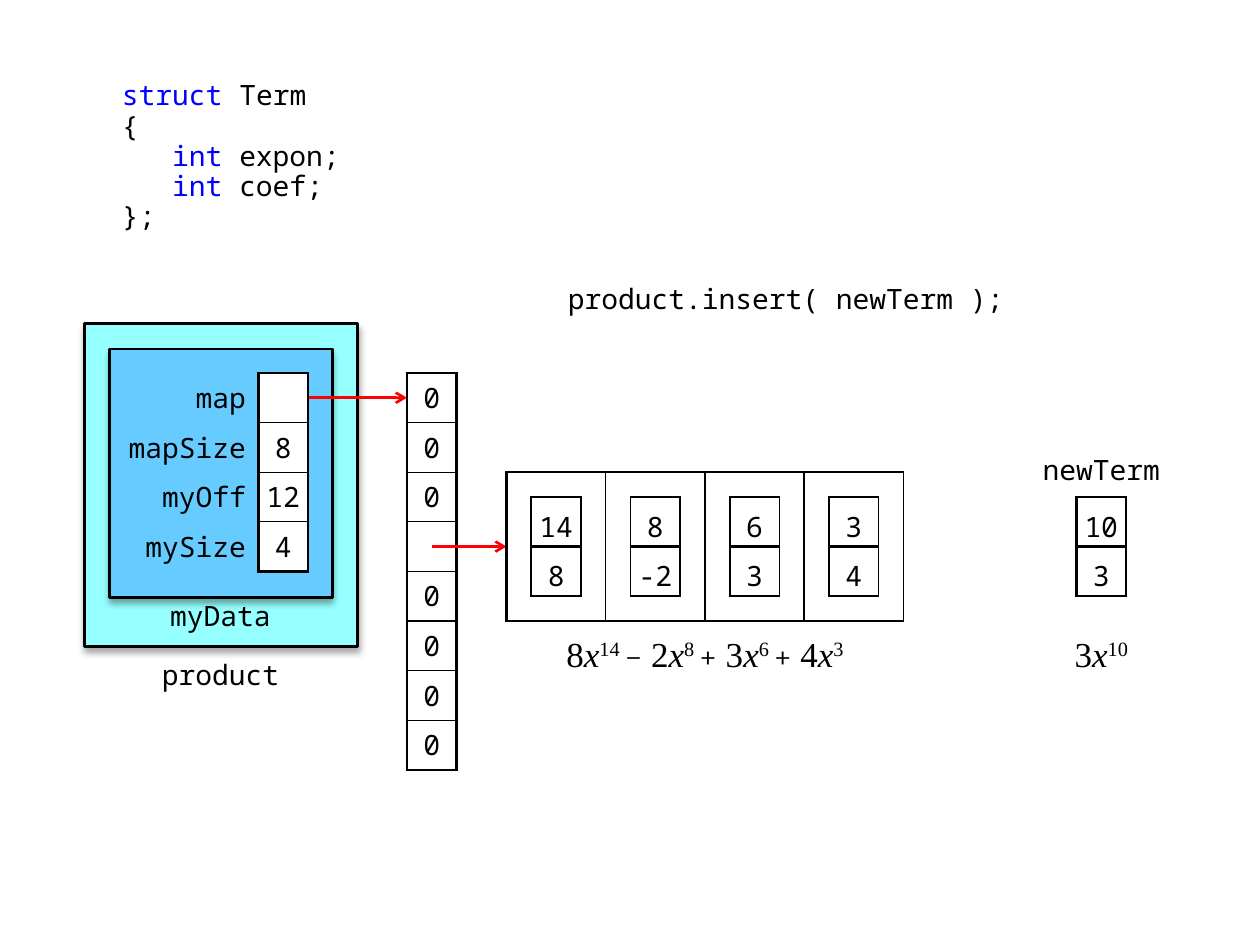
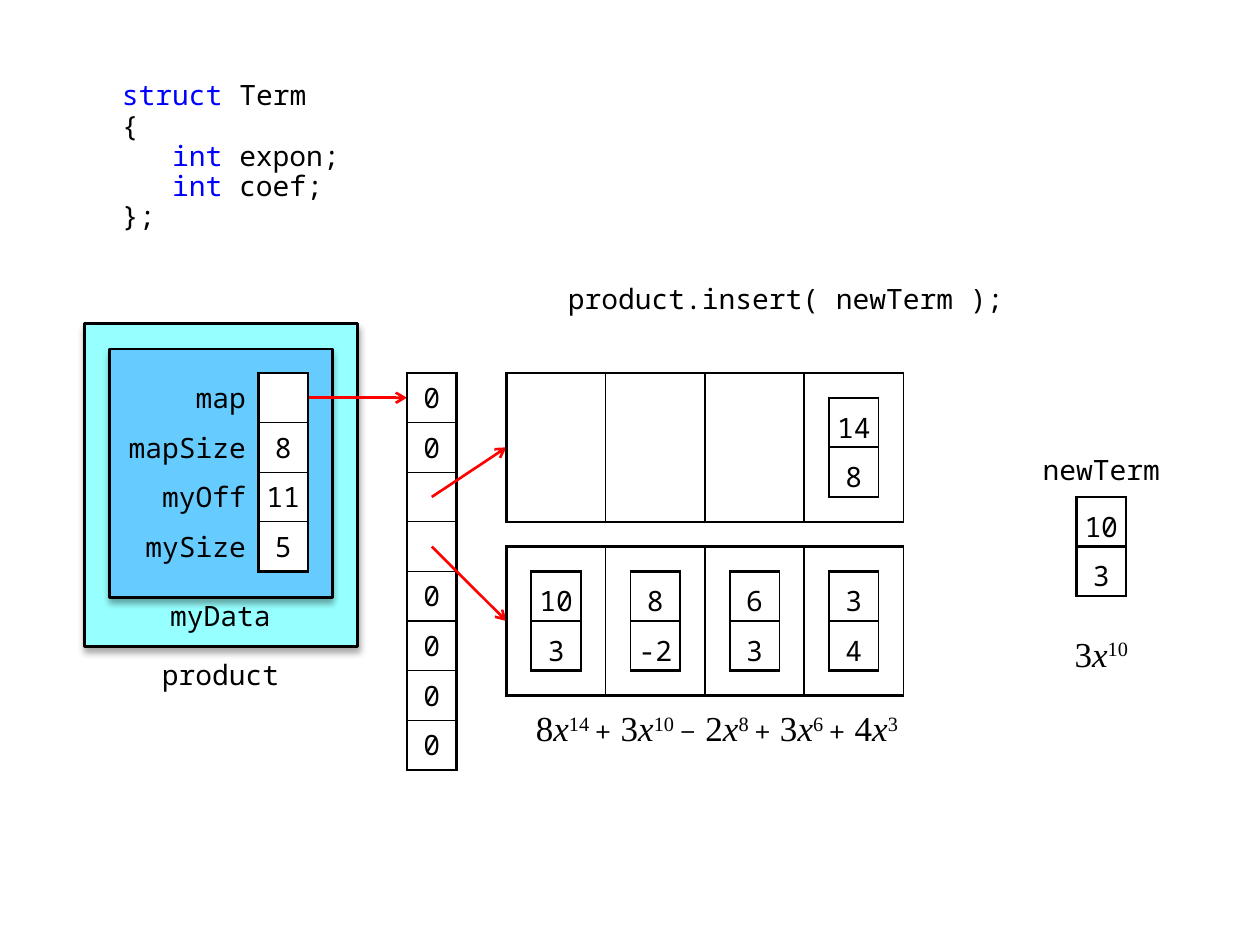
from lxml import etree
from pptx import Presentation
from pptx.dml.color import RGBColor
from pptx.enum.shapes import MSO_CONNECTOR as Connector, MSO_SHAPE as Shape
from pptx.enum.text import MSO_ANCHOR as Anchor, PP_ALIGN as Align
from pptx.oxml.ns import qn
from pptx.util import Inches, Pt

COLORS = {"text": "000000", "keyword": "0000FF", "arrow": "FF0000",
          "product": "96FFFF", "data": "66CCFF", "cell": "FFFFFF"}
CODE_FONT, MATH_FONT, OPERATOR_FONT = "Noto Sans Mono", "Times New Roman", "Cambria"
CELL = 3.15 / 8
GRID_TOP = 2.96
MAP_LEFT, NODE_LEFT = 3.23, 4.02
MAP_SLOTS = 8
CODE = [("", "struct ", "Term"), ("", "", "{"), ("   ", "int ", "expon;"),
        ("   ", "int ", "coef;"), ("", "", "};")]


def color(name):
    """Return the named colour."""
    return RGBColor.from_string(COLORS[name])


def set_font(font, name=CODE_FONT, size=16, color_name="text"):
    """Apply typeface, size and colour to a font."""
    font.name, font.size = name, Pt(size)
    font.color.rgb = color(color_name)


def add_text_box(slide, box, margins, anchor=Anchor.MIDDLE, align=Align.CENTER):
    """Add an empty text box and return its text frame."""
    frame = slide.shapes.add_textbox(*map(Inches, box)).text_frame
    frame.word_wrap = True
    frame.vertical_anchor = anchor
    (frame.margin_left, frame.margin_top,
     frame.margin_right, frame.margin_bottom) = map(Inches, margins)
    frame.paragraphs[0].alignment = align
    return frame


def add_label(slide, text, box, margins, **options):
    """Add one line of code-style text."""
    paragraph = add_text_box(slide, box, margins, **options).paragraphs[0]
    paragraph.text = text
    set_font(paragraph.font)


def add_panel(slide, box, fill):
    """Add a filled box with a soft shadow below it."""
    shape = slide.shapes.add_shape(Shape.FLOWCHART_PROCESS, *map(Inches, box))
    shape.fill.solid()
    shape.fill.fore_color.rgb = color(fill)
    shape.line.color.rgb = color("text")
    shape.line.width = Pt(1.5)
    shape.shadow.inherit = False
    effects = shape._element.spPr.find(qn("a:effectLst"))
    shadow = etree.SubElement(effects, qn("a:outerShdw"), blurRad=str(Pt(4)),
                              dist=str(Pt(3)), dir="5400000", rotWithShape="0")
    shade = etree.SubElement(shadow, qn("a:srgbClr"), val=COLORS["text"])
    etree.SubElement(shade, qn("a:alpha"), val="35000")


def add_arrow(slide, start, end):
    """Add a red pointer arrow."""
    arrow = slide.shapes.add_connector(Connector.STRAIGHT, *map(Inches, start + end))
    arrow.line.color.rgb = color("arrow")
    arrow.line.width = Pt(1.5)
    etree.SubElement(arrow.line._get_or_add_ln(), qn("a:tailEnd"), type="arrow")
    etree.SubElement(arrow._element.spPr, qn("a:effectLst"))


def set_borders(cell, widths):
    """Draw left, top, right and bottom borders; zero width hides one."""
    properties = cell._tc.get_or_add_tcPr()
    sides = dict(zip("LTRB", widths))
    for index, side in enumerate("LRTB"):
        line = etree.Element(qn(f"a:ln{side}"), w=str(Pt(sides[side])))
        if sides[side]:
            fill = etree.SubElement(line, qn("a:solidFill"))
            etree.SubElement(fill, qn("a:srgbClr"), val=COLORS["text"])
        else:
            etree.SubElement(line, qn("a:noFill"))
        properties.insert(index, line)


def add_grid(slide, left, top, rows, column_widths, row_height):
    """Add a plain table of centred code text and return it."""
    table = slide.shapes.add_table(
        len(rows), len(column_widths), Inches(left), Inches(top),
        Inches(sum(column_widths)), Inches(row_height * len(rows))).table
    table.first_row = table.horz_banding = False
    for column, width in zip(table.columns, column_widths):
        column.width = Inches(width)
    for row, texts in zip(table.rows, rows):
        row.height = Inches(row_height)
        for cell, text in zip(row.cells, texts):
            cell.text = text
            cell.fill.background()
            cell.vertical_anchor = Anchor.MIDDLE
            cell.margin_left = cell.margin_right = 0
            cell.margin_top = cell.margin_bottom = Inches(0.04)
            paragraph = cell.text_frame.paragraphs[0]
            paragraph.alignment = Align.CENTER
            set_font(paragraph.font)
    return table


def frame_cells(rows, outer, inner):
    """Border a block of cells with outer widths and one inner width."""
    left, top, right, bottom = outer
    for row_index, row in enumerate(rows):
        for column_index, cell in enumerate(row):
            set_borders(cell, (
                inner if column_index else left,
                inner if row_index else top,
                inner if column_index < len(row) - 1 else right,
                inner if row_index < len(rows) - 1 else bottom))


def table_cells(table):
    """Return the cells of a table as a list of rows."""
    return [list(row.cells) for row in table.rows]


def add_struct(slide, box):
    """Add the struct definition with coloured keywords."""
    frame = add_text_box(slide, box, (0.1, 0.05, 0.1, 0.05), Anchor.TOP, Align.LEFT)
    for index, (indent, keyword, rest) in enumerate(CODE):
        paragraph = frame.add_paragraph() if index else frame.paragraphs[0]
        paragraph.line_spacing = 0.9
        for text, name in ((indent, "text"), (keyword, "keyword"), (rest, "text")):
            if text:
                run = paragraph.add_run()
                run.text = text
                set_font(run.font, color_name=name)


def add_product(slide, left, top, values):
    """Add the product object with its data fields."""
    add_panel(slide, (left, top, 2.17, 2.56), "product")
    add_panel(slide, (left + 0.2, top + 0.2, 1.77, 1.97), "data")
    add_label(slide, "product", (left + 0.39, top + 2.56, 1.38, CELL),
              (0.08, 0.05, 0.08, 0.04), anchor=Anchor.BOTTOM)
    add_label(slide, "myData", (left + 0.59, top + 2.16, 0.98, CELL),
              (0.08, 0.02, 0.08, 0), anchor=Anchor.TOP)
    pointer_y = GRID_TOP + CELL / 2
    add_arrow(slide, (left + 1.57, pointer_y), (MAP_LEFT, pointer_y))
    rows = list(zip(("map", "mapSize", "myOff", "mySize"), values))
    table = add_grid(slide, left + 0.2, GRID_TOP, rows, (3 * CELL, CELL), CELL)
    cells = table_cells(table)
    for name, value in cells:
        name.margin_left = name.margin_right = Inches(0.1)
        name.text_frame.paragraphs[0].alignment = Align.RIGHT
        value.fill.solid()
        value.fill.fore_color.rgb = color("cell")
    frame_cells([[name] for name, _ in cells], (0, 0, 1.5, 0), 0)
    frame_cells([[value] for _, value in cells], (1.5,) * 4, 0.75)


def add_map(slide, left, top, used_slots):
    """Add the map array, leaving the used slots blank."""
    rows = [["" if slot in used_slots else "0"] for slot in range(MAP_SLOTS)]
    table = add_grid(slide, left, top, rows, (CELL,), CELL)
    frame_cells(table_cells(table), (1.5,) * 4, 0.75)


def add_term(slide, left, top, term, left_border=1):
    """Add the exponent and coefficient cells of a term."""
    table = add_grid(slide, left, top, [[text] for text in term], (CELL,), CELL)
    cells = table_cells(table)
    for (cell,) in cells:
        cell.margin_top = cell.margin_bottom = 0
        cell.text_frame.paragraphs[0].line_spacing = 1.25
    frame_cells(cells, (left_border, 1.5, 1, 1.5), 1.5)


def add_node(slide, left, top, slot, terms):
    """Add a block of terms and the arrow from its map slot."""
    add_arrow(slide, (MAP_LEFT + CELL / 2, GRID_TOP + (slot + 0.5) * CELL),
              (left, top + 1.5 * CELL))
    table = add_grid(slide, left, top, [[""] * len(terms)],
                     [2 * CELL] * len(terms), 3 * CELL)
    frame_cells(table_cells(table), (1.5, 1.5, 1, 1.5), 1)
    filled = [index for index, term in enumerate(terms) if term]
    for index in filled:
        add_term(slide, left + (2 * index + 0.5) * CELL, top + CELL / 2,
                 terms[index], 1.5 if index == filled[0] else 1)


def add_polynomial(slide, text, box):
    """Add a polynomial with italic variables and raised exponents."""
    paragraph = add_text_box(slide, box, (0.08, 0.12, 0.08, 0)).paragraphs[0]

    def add_run(run_text, name=MATH_FONT, size=20):
        run = paragraph.add_run()
        run.text = run_text
        set_font(run.font, name, size)
        return run

    tokens = text.split()
    for index, token in enumerate(tokens):
        if "x" not in token:
            add_run(token, OPERATOR_FONT, 18)
            continue
        coefficient, variable, exponent = token.partition("x")
        add_run(f" {coefficient}" if index else coefficient)
        add_run(variable).font.italic = True
        raised = add_run(exponent if index == len(tokens) - 1 else f"{exponent} ")
        raised._r.get_or_add_rPr().set("baseline", "30000")


def add_new_term(slide, left, top):
    """Add the term being inserted, with its name and formula."""
    add_label(slide, "newTerm", (left, top, 1.18, CELL), (0.08, 0, 0.08, 0.04))
    add_term(slide, left + CELL, top + CELL, ("10", "3"), 1.5)
    add_polynomial(slide, "3x10", (left + CELL / 2, top + 1.38, 2 * CELL, CELL))


def add_insert_slide(presentation, values, nodes, polynomial, formula_left, formula_width):
    """Add one state of the product during insertion."""
    slide = presentation.slides.add_slide(presentation.slide_layouts[6])
    add_struct(slide, (0.87, 0.6, 1.97, 1.57))
    add_label(slide, "product.insert( newTerm );", (4.41, 2.17, 3.74, CELL),
              (0.1, 0.05, 0.1, 0.05), align=Align.LEFT)
    add_product(slide, 0.67, 2.57, values)
    add_map(slide, MAP_LEFT, GRID_TOP, [slot for slot, _, _ in nodes])
    for slot, cells_down, terms in nodes:
        node_top = GRID_TOP + cells_down * CELL
        add_node(slide, NODE_LEFT, node_top, slot, terms)
    add_polynomial(slide, polynomial,
                   (formula_left, node_top + 3 * CELL, formula_width, CELL))
    add_new_term(slide, 8.15, 3.55)


def main():
    """Build and save the presentation."""
    presentation = Presentation()
    presentation.slide_width, presentation.slide_height = Inches(10), Inches(7.5)
    first, second = ("14", "8"), ("10", "3")
    rest = [("8", "-2"), ("6", "3"), ("3", "4")]
    add_insert_slide(presentation, ("", "8", "12", "4"), [(3, 2, [first] + rest)],
                     "8x14 − 2x8 + 3x6 + 4x3", NODE_LEFT, 3.15)
    add_insert_slide(presentation, ("", "8", "11", "5"),
                     [(2, 0, [None, None, None, first]), (3, 3.5, [second] + rest)],
                     "8x14 + 3x10 − 2x8 + 3x6 + 4x3", 3.82, 3.74)
    presentation.save("out.pptx")


if __name__ == "__main__":
    main()
